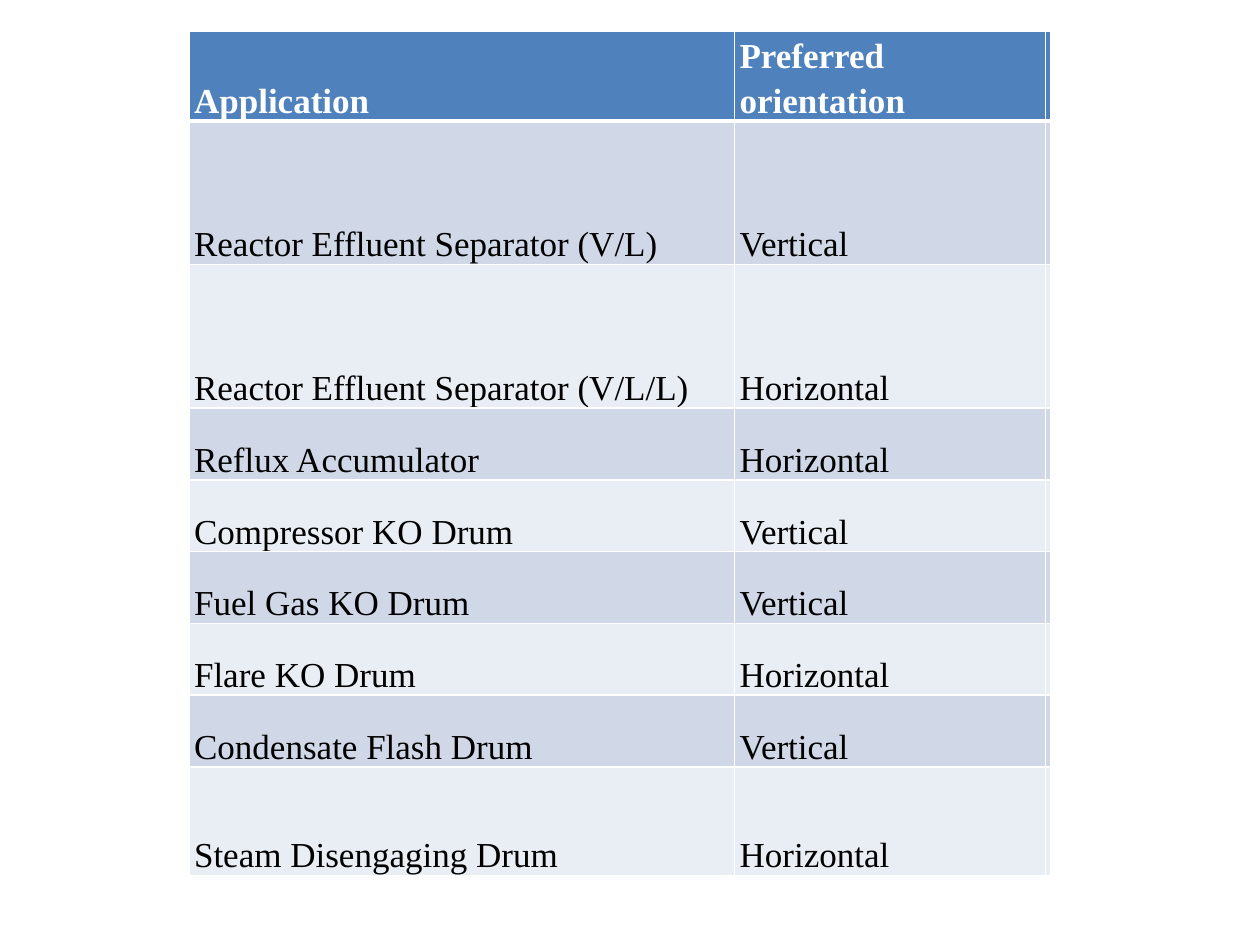
from lxml.etree import SubElement
from pptx import Presentation
from pptx.dml.color import RGBColor
from pptx.enum.text import MSO_ANCHOR
from pptx.oxml.ns import qn
from pptx.util import Inches, Pt


def color(value):
    return RGBColor.from_string(value)


def add_border(cell, side, points):
    line = SubElement(cell._tc.get_or_add_tcPr(), qn(f"a:ln{side}"), w=str(Pt(points)))
    fill = SubElement(line, qn("a:solidFill"))
    SubElement(fill, qn("a:srgbClr"), val="FFFFFF")


ROWS = [
    ("Application", "Preferred orientation", 0.29),
    ("Reactor Effluent Separator (V/L)", "Vertical", 1.14),
    ("Reactor Effluent Separator (V/L/L)", "Horizontal", 1.14),
    ("Reflux Accumulator", "Horizontal", 0.57),
    ("Compressor KO Drum", "Vertical", 0.57),
    ("Fuel Gas KO Drum", "Vertical", 0.57),
    ("Flare KO Drum", "Horizontal", 0.57),
    ("Condensate Flash Drum", "Vertical", 0.57),
    ("Steam Disengaging Drum", "Horizontal", 0.86),
]
COLUMN_WIDTHS = [4.33, 2.47, 0.03]
BAND_FILLS = ["E9EDF4", "D0D8E8"]
CELL_FORMAT = {
    "margin_left": 0,
    "margin_right": 0,
    "margin_top": 0,
    "margin_bottom": 0,
    "vertical_anchor": MSO_ANCHOR.BOTTOM,
}

deck = Presentation()
deck.slide_width, deck.slide_height = Inches(10), Inches(7.5)
page = deck.slides.add_slide(deck.slide_layouts[6])

frame = page.shapes.add_table(
    len(ROWS), len(COLUMN_WIDTHS), Inches(1.5), Inches(0.25), Inches(6.83), Inches(6.78)
)
table = frame.table
for column, width in zip(table.columns, COLUMN_WIDTHS):
    column.width = Inches(width)

for row_index, (application, orientation, height) in enumerate(ROWS):
    header = row_index == 0
    row = table.rows[row_index]
    row.height = Inches(height)
    borders = {"L": 1, "R": 1, "T": 3 if row_index == 1 else 1, "B": 3 if header else 1}
    font_format = {"name": "Times New Roman", "size": Pt(20), "bold": header}
    for cell, text in zip(row.cells, (application, orientation, "")):
        for name, value in CELL_FORMAT.items():
            setattr(cell, name, value)
        for side, points in borders.items():
            add_border(cell, side, points)
        cell.fill.solid()
        cell.fill.fore_color.rgb = color("4F81BD" if header else BAND_FILLS[row_index % 2])
        if not text:
            continue
        para = cell.text_frame.paragraphs[0]
        para.line_spacing = 1.15
        para._p.get_or_add_pPr().set("marL", str(Inches(0.04)))
        span = para.add_run()
        span.text = text
        for name, value in font_format.items():
            setattr(span.font, name, value)
        span.font.color.rgb = color("FFFFFF" if header else "000000")

frame.height = Inches(6.78)
deck.save("out.pptx")
